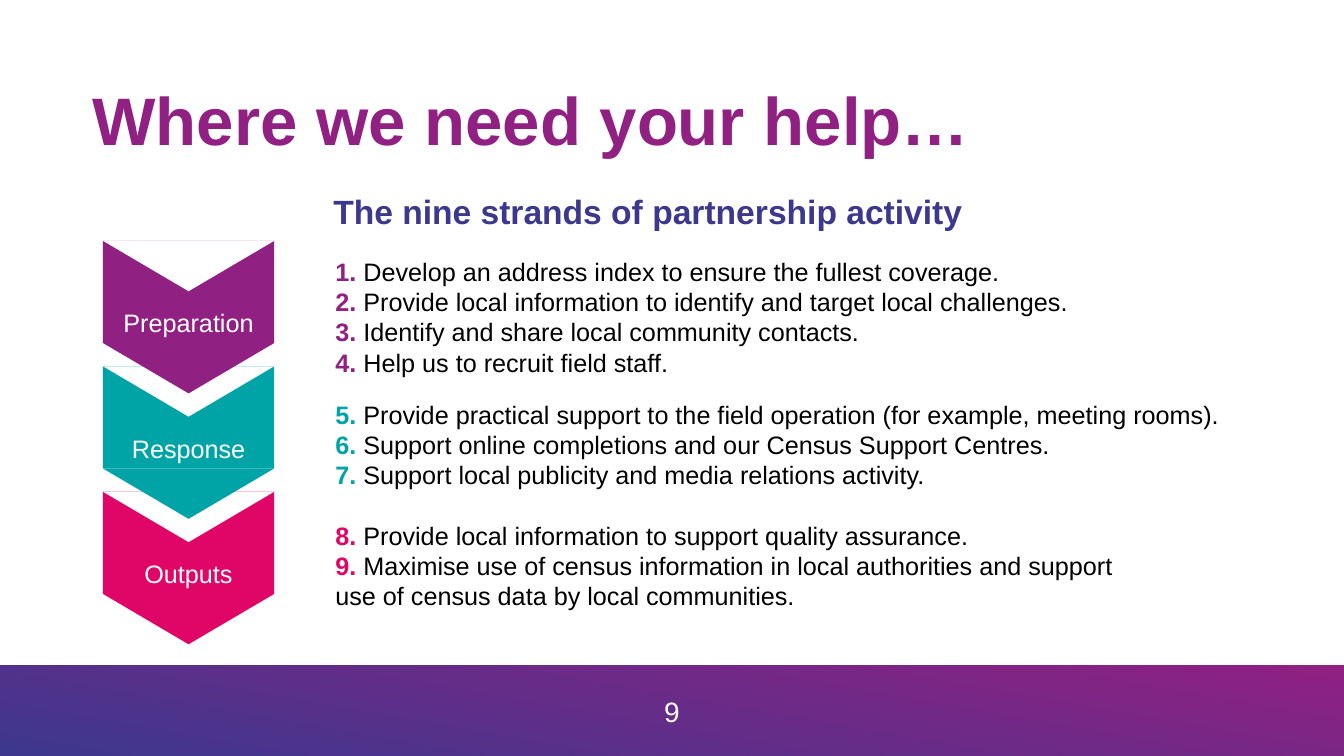
from pptx import Presentation
from pptx import util as u
from pptx.dml.color import RGBColor
from pptx.enum import shapes, text

Pt = u.Pt
PLUM, TEAL, PINK = "902082", "00A3A6", "DF0667"
BLUE, WHITE, BLACK = "3C388E", "FFFFFF", "000000"

deck = Presentation()
deck.slide_width, deck.slide_height = Pt(960), Pt(540)
slide = deck.slides.add_slide(deck.slide_layouts[6])


def draw(kind, box, fill):
    """Add a plain filled shape without line or shadow."""
    shape = slide.shapes.add_shape(kind, *map(Pt, box))
    shape.shadow.inherit = False
    shape.line.fill.background()
    shape.fill.solid()
    shape.fill.fore_color.rgb = RGBColor.from_string(fill)
    return shape


def write(frame, lines, size, align=text.PP_ALIGN.LEFT):
    """Fill a frame; each line is a list of (words, colour, bold) runs."""
    frame.word_wrap = True
    for i, line in enumerate(lines):
        para = frame.add_paragraph() if i else frame.paragraphs[0]
        para.alignment = align
        for words, color, bold in line:
            run = para.add_run()
            run.text = words
            run.font.name = "Arial"
            run.font.size = Pt(size)
            run.font.bold = bold
            run.font.color.rgb = RGBColor.from_string(color)


rect = shapes.MSO_SHAPE.RECTANGLE
wedge = shapes.MSO_SHAPE.ISOSCELES_TRIANGLE
mid = text.PP_ALIGN.CENTER

# Footer band with page number
band = draw(rect, (0, 475, 960, 65), PLUM)
band.fill.gradient()
band.fill.gradient_angle = 80
for stop, color, place in zip(band.fill.gradient_stops, (BLUE, PLUM), (0, 1)):
    stop.color.rgb = RGBColor.from_string(color)
    stop.position = place
page = slide.shapes.add_textbox(Pt(367), Pt(492.5), Pt(226), Pt(29))
write(page.text_frame, [[("9", WHITE, False)]], 20, mid)

# Headings
title = slide.shapes.add_textbox(Pt(66), Pt(58.5), Pt(829.5), Pt(60)).text_frame
title.margin_left = 0
title.vertical_anchor = text.MSO_ANCHOR.MIDDLE
write(title, [[("Where we need your help…", PLUM, True)]], 48)
title.paragraphs[0].line_spacing = 0.9
head = slide.shapes.add_textbox(Pt(231), Pt(133), Pt(510), Pt(36))
write(head.text_frame,
      [[("The nine strands of partnership activity", BLUE, True)]], 24)

# Stages: name, colour, top, width and height of the list, first number, items
stages = [
    ("Preparation", PLUM, 179.5, 558, 94, 1, [
        "Develop an address index to ensure the fullest coverage.",
        "Provide local information to identify and target local challenges.",
        "Identify and share local community contacts.",
        "Help us to recruit field staff."]),
    ("Response", TEAL, 281.5, 654, 73, 5, [
        "Provide practical support to the field operation (for example, meeting rooms).",
        "Support online completions and our Census Support Centres.",
        "Support local publicity and media relations activity."]),
    ("Outputs", PINK, 368, 598, 73, 8, [
        "Provide local information to support quality assurance.",
        "Maximise use of census information in local authorities and support "
        "use of census data by local communities."]),
]
left, wide, tall, tip = 73.5, 122.4, 73, 36
# Bottom stage first, so that each tip lies over the notch below it
for i, (name, color, top, width, height, first, items) in reversed(
        list(enumerate(stages))):
    y = 172 + 89.6 * i
    body = draw(rect, (left, y, wide, tall), color)
    body.text_frame.vertical_anchor = text.MSO_ANCHOR.BOTTOM
    write(body.text_frame, [[(name, WHITE, False)]], 18, mid)
    for edge, fill in ((y, WHITE), (y + tall, color)):
        draw(wedge, (left, edge, wide, tip), fill).rotation = 180
    note = slide.shapes.add_textbox(Pt(232.5), Pt(top), Pt(width), Pt(height))
    write(note.text_frame,
          [[(f"{n}. ", color, True), (item, BLACK, False)]
           for n, item in enumerate(items, first)], 18)

deck.save("out.pptx")
